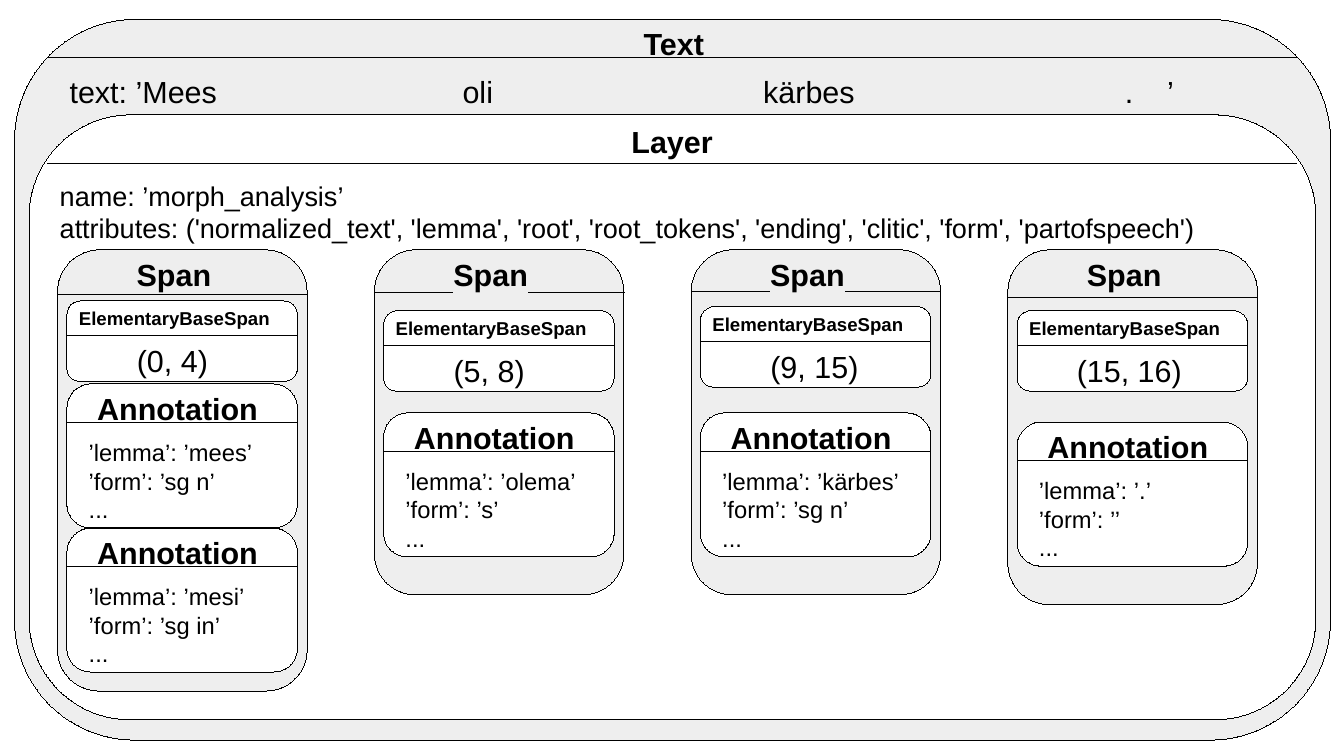
import pptx
import pptx.util
import pptx.dml.color
import pptx.enum.shapes
import pptx.oxml.ns
import lxml.etree

Pt = pptx.util.Pt
COLOURS = {"ink": "000000", "grey": "EEEEEE", "white": "FFFFFF"}
FONT = "Arial"
HAIRLINE = 0.01
SPAN_PITCH = 187
SPAN_WIDTH = 147.4
INNER_WIDTH = 136.1

SPANS = [
    {"height": 260.6, "rule": 26.5, "base_top": 30.2, "range": "(0, 4)", "range_left": 34.2,
     "annotations": [(79.2, "’mees’", "’sg n’"), (164.3, "’mesi’", "’sg in’")]},
    {"height": 203.8, "rule": 25, "base_top": 36, "range": "(5, 8)", "range_left": 34.2,
     "annotations": [(96.3, "’olema’", "’s’")]},
    {"height": 203.8, "rule": 24.5, "base_top": 33.6, "range": "(9, 15)", "range_left": 34.2,
     "annotations": [(96.3, "’kärbes’", "’sg n’")]},
    {"height": 209.5, "rule": 28, "base_top": 36, "range": "(15, 16)", "range_left": 28.1,
     "annotations": [(101.8, "’.’", "’’")]},
]


def colour(name):
    return pptx.dml.color.RGBColor.from_string(COLOURS[name])


def add_panel(slide, left, top, width, height, fill):
    shape = slide.shapes.add_shape(
        pptx.enum.shapes.MSO_SHAPE.ROUNDED_RECTANGLE,
        Pt(left), Pt(top), Pt(width), Pt(height))
    shape.adjustments[0] = 0.167
    shape.shadow.inherit = False
    shape.fill.solid()
    shape.fill.fore_color.rgb = colour(fill)
    shape.line.color.rgb = colour("ink")
    shape.line.width = Pt(HAIRLINE)


def add_rule(slide, left, top, width):
    connector = slide.shapes.add_connector(
        pptx.enum.shapes.MSO_CONNECTOR.STRAIGHT,
        Pt(left), Pt(top), Pt(left + width), Pt(top))
    connector.line.color.rgb = colour("ink")
    connector.line.width = Pt(HAIRLINE)
    properties = connector._element.spPr
    lxml.etree.SubElement(properties, pptx.oxml.ns.qn("a:effectLst"))


def add_tabs(paragraph, positions):
    properties = paragraph._p.get_or_add_pPr()
    tab_list = lxml.etree.SubElement(properties, pptx.oxml.ns.qn("a:tabLst"))
    for position in positions:
        lxml.etree.SubElement(tab_list, pptx.oxml.ns.qn("a:tab"),
                              pos=str(int(Pt(position))), algn="l")


def add_label(slide, left, top, width, height, lines, size, back, bold=False, tabs=()):
    shape = slide.shapes.add_textbox(Pt(left), Pt(top), Pt(width), Pt(height))
    frame = shape.text_frame
    frame.word_wrap = True
    for index, line in enumerate(lines):
        paragraph = frame.add_paragraph() if index else frame.paragraphs[0]
        if tabs:
            add_tabs(paragraph, tabs)
        run = paragraph.add_run()
        run.text = line
        run.font.size = Pt(size)
        run.font.bold = bold
        run.font.color.rgb = colour("ink")
        highlight = lxml.etree.SubElement(
            run._r.get_or_add_rPr(), pptx.oxml.ns.qn("a:highlight"))
        lxml.etree.SubElement(highlight, pptx.oxml.ns.qn("a:srgbClr"), val=COLOURS[back])
        run.font.name = FONT


def add_text_region(slide, left, top, width, height):
    add_panel(slide, left, top, width, height, "grey")
    add_label(slide, left + 364.3, top, 60, 27.4, ["Text"], 18, "grey", True)
    add_rule(slide, left + 19.4, top + 22.6, width - 39.2)
    add_label(slide, left + 25.4, top + 28.1, 725.8, 27.4,
              ["text: ’Mees\toli\tkärbes\t.\t’"], 18, "grey",
              tabs=(232, 409.5, 623, 648))


def add_layer_region(slide, left, top, width, height):
    add_panel(slide, left, top, width, height, "white")
    add_label(slide, left + 348.5, top + 1.4, 70, 27.4, ["Layer"], 18, "white", True)
    add_rule(slide, left + 10.8, top + 28.6, width - 22.3)
    add_label(slide, left + 11, top + 34.4, 731.5, 42.5, [
        "name: ’morph_analysis’",
        "attributes: ('normalized_text', 'lemma', 'root', 'root_tokens', "
        "'ending', 'clitic', 'form', 'partofspeech')"], 16, "white")
    for index, span in enumerate(SPANS):
        add_span(slide, left + 16.8 + index * SPAN_PITCH, top + 79.6, span)


def add_span(slide, left, top, span):
    add_panel(slide, left, top, SPAN_WIDTH, span["height"], "grey")
    add_rule(slide, left, top + span["rule"], SPAN_WIDTH)
    add_label(slide, left + 39.6, top, 70, 27.4, ["Span"], 18, "grey", True)
    inner_left = left + 5.5
    add_base_span(slide, inner_left, top + span["base_top"], span)
    for offset, lemma, form in span["annotations"]:
        add_annotation(slide, inner_left, top + offset, lemma, form)


def add_base_span(slide, left, top, span):
    add_panel(slide, left, top, INNER_WIDTH, 47.5, "white")
    add_label(slide, left, top, INNER_WIDTH, 19.4, ["ElementaryBaseSpan"], 11, "white", True)
    add_rule(slide, left, top + 20.7, INNER_WIDTH)
    add_label(slide, left + span["range_left"], top + 20.7, 90, 27.4,
              [span["range"]], 18, "white")


def add_annotation(slide, left, top, lemma, form):
    add_panel(slide, left, top, INNER_WIDTH, 85, "white")
    add_label(slide, left + 10.8, top, 120, 27.4, ["Annotation"], 18, "white", True)
    add_rule(slide, left, top + 22.7, INNER_WIDTH)
    add_label(slide, left + 5.8, top + 28.3, 124.6, 54,
              ["’lemma’: " + lemma, "’form’: " + form, "..."], 14, "white")


def main():
    presentation = pptx.Presentation()
    presentation.slide_width = Pt(793.44)
    presentation.slide_height = Pt(446.4)
    slide = presentation.slides.add_slide(presentation.slide_layouts[6])
    add_text_region(slide, 8.6, 11.5, 776.9, 425.5)
    add_layer_region(slide, 17.2, 67.9, 759.6, 357.1)
    presentation.save("out.pptx")


if __name__ == "__main__":
    main()
